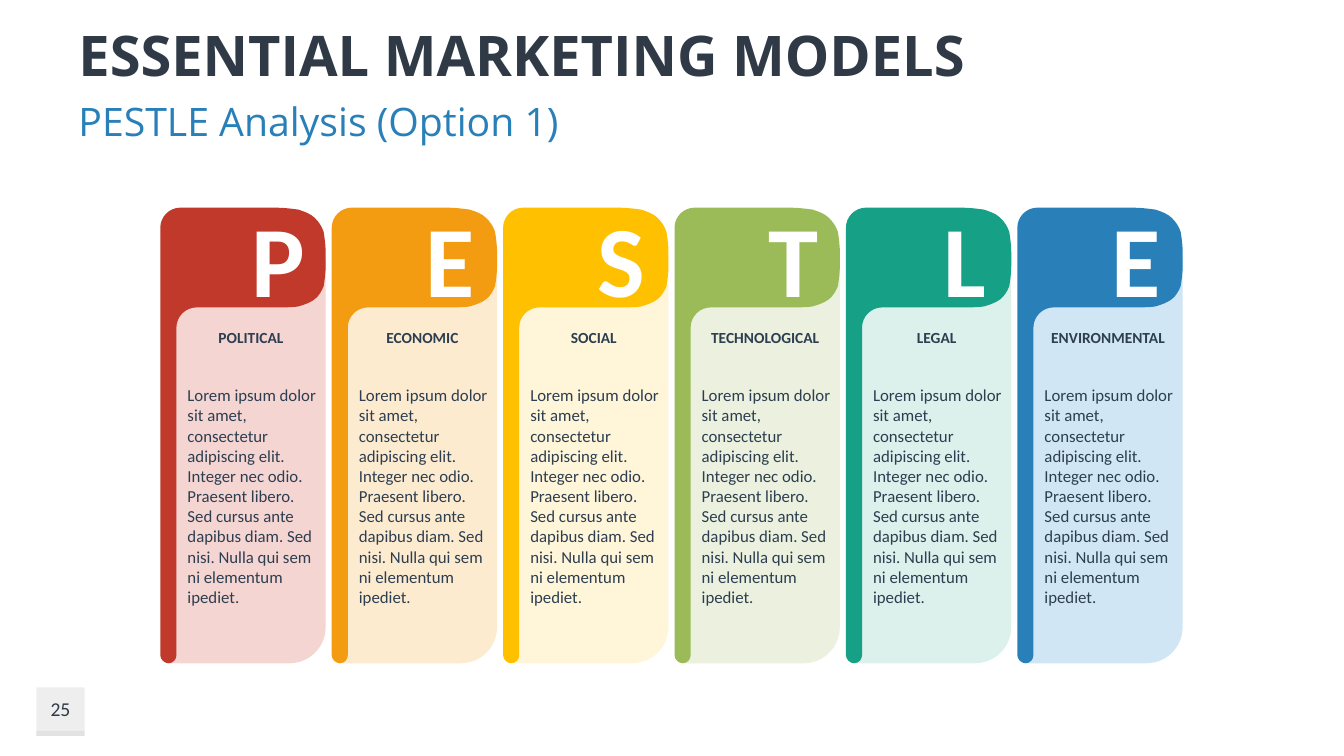
import lxml.etree
import pptx
import pptx.dml.color
import pptx.enum.shapes
import pptx.enum.text
import pptx.oxml.ns
import pptx.util

PX = 9144  # EMU per px, 100 px to the inch

ALIGN = pptx.enum.text.PP_ALIGN
ANCHOR = pptx.enum.text.MSO_ANCHOR
qn = pptx.oxml.ns.qn

# Text styles are font, size, bold, colour
THEME = {
    "title": ("Open Sans", 40, True, "2F3A46"),
    "subtitle": ("Open Sans", 28, False, "2980B9"),
    "number": ("Calibri", 14, False, "2F3A46"),
    "letter": ("Calibri", 72, True, "FFFFFF"),
    "label": ("Calibri", 11, True, "2C3E50"),
    "body": ("Calibri", 12, False, "2C3E50"),
    "tile": "BFBFBF",
}

# Factor, card colour, panel colour, panel opacity in percent
FACTORS = [
    ("POLITICAL", "C0392B", "F5D5D2", 100),
    ("ECONOMIC", "F39C12", "FDEBD0", 100),
    ("SOCIAL", "FFC000", "FFC000", 15),
    ("TECHNOLOGICAL", "9BBB59", "EBF1DE", 100),
    ("LEGAL", "16A085", "16A085", 15),
    ("ENVIRONMENTAL", "2980B9", "D1E6F5", 100),
]
BODY = (
    "Lorem ipsum dolor sit amet, consectetur adipiscing elit. Integer nec odio. "
    "Praesent libero. Sed cursus ante dapibus diam. Sed nisi. "
    "Nulla qui sem ni elementum ipediet."
)

COLUMN_LEFT, COLUMN_PITCH = 159, 170
CARD_TOP, PANEL_TOP, PANEL_INDENT = 206, 256, 7

# Pairs are line ends; sixes are two control points and a curve end
PANEL_OUTLINE = [
    (157, 0), (0, 0), (0, 402), (121, 402),
    (141, 402, 157, 386, 157, 366), (157, 0),
]
CARD_OUTLINE = [
    (16, 119), (16, 444),
    (16, 448, 13, 452, 8, 452), (4, 452, 0, 448, 0, 444),
    (0, 20), (0, 9, 9, 0, 20, 0), (112, 0),
    (122, 0, 130, 1, 137, 2), (143, 4, 149, 6, 153, 10),
    (157, 14, 160, 18, 162, 24), (163, 30, 164, 37, 164, 45),
    (164, 57),
    (164, 65, 163, 72, 162, 78), (160, 83, 157, 88, 153, 91),
    (149, 94, 144, 96, 137, 98), (131, 99, 122, 99, 112, 99),
    (36, 99), (25, 99, 16, 108, 16, 119),
]


def add_outline(left, top, outline):
    """Draw a closed freeform, turning the six-number segments into curves."""
    ends = [segment[-2:] for segment in outline]
    builder = slide.shapes.build_freeform(*ends[0], scale=PX)
    builder.add_line_segments(ends[1:], close=True)
    shape = builder.convert_to_shape(left * PX, top * PX)
    lines = list(shape.element.spPr.iter(qn("a:lnTo")))
    for line, segment in zip(lines, outline[1:]):
        if len(segment) == 6:
            line.tag = qn("a:cubicBezTo")
            for place in range(2):
                x, y = segment[2 * place:2 * place + 2]
                control = lxml.etree.SubElement(line, qn("a:pt"), x=str(x), y=str(y))
                line.insert(place, control)
    return shape


def write_text(shape, text, style, align=ALIGN.LEFT, anchor=ANCHOR.TOP,
               margins=(10, 5, 10, 5)):
    frame = shape.text_frame
    frame.word_wrap = True
    frame.vertical_anchor = anchor
    (frame.margin_left, frame.margin_top,
     frame.margin_right, frame.margin_bottom) = [margin * PX for margin in margins]
    para = frame.paragraphs[0]
    para.text = text
    para.alignment = align
    font_name, size, bold, colour = THEME[style]
    para.font.name = font_name
    para.font.size = pptx.util.Pt(size)
    para.font.bold = bold
    para.font.color.rgb = pptx.dml.color.RGBColor.from_string(colour)


deck = pptx.Presentation()
deck.slide_width = 1333 * PX
deck.slide_height = 750 * PX
slide = deck.slides.add_slide(deck.slide_layouts[6])
filled = []  # shape, colour, opacity in percent

# Page number tile
for top, height in [(682, 48), (725, 5)]:
    tile = slide.shapes.add_shape(
        pptx.enum.shapes.MSO_SHAPE.RECTANGLE, 36 * PX, top * PX, 48 * PX, height * PX)
    filled.append((tile, THEME["tile"], 25))
number_box = slide.shapes.add_textbox(36 * PX, 682 * PX, 48 * PX, 43 * PX)
write_text(number_box, "25", "number", ALIGN.CENTER, ANCHOR.MIDDLE)

# Headings
title_box = slide.shapes.add_textbox(68 * PX, 15 * PX, 1072 * PX, 77 * PX)
write_text(title_box, "ESSENTIAL MARKETING MODELS", "title", anchor=ANCHOR.MIDDLE)
subtitle_box = slide.shapes.add_textbox(68 * PX, 92 * PX, 1072 * PX, 57 * PX)
write_text(subtitle_box, "PESTLE Analysis (Option 1)", "subtitle")

# One column per factor
for index, (factor, card_colour, panel_colour, opacity) in enumerate(FACTORS):
    left = COLUMN_LEFT + index * COLUMN_PITCH

    panel = add_outline(left + PANEL_INDENT, PANEL_TOP, PANEL_OUTLINE)
    write_text(panel, BODY, "body", margins=(20, 126, 4, 4))
    filled.append((panel, panel_colour, opacity))

    card = add_outline(left, CARD_TOP, CARD_OUTLINE)
    filled.append((card, card_colour, 100))

    letter_box = slide.shapes.add_textbox((left + 73) * PX, 190 * PX, 89 * PX, 131 * PX)
    write_text(letter_box, factor[0], "letter", ALIGN.CENTER)
    label_box = slide.shapes.add_textbox((left + 19) * PX, 321 * PX, 142 * PX, 29 * PX)
    write_text(label_box, factor, "label", ALIGN.CENTER)

for shape, colour, opacity in filled:
    shape.shadow.inherit = False
    shape.line.fill.background()
    shape.fill.solid()
    shape.fill.fore_color.rgb = pptx.dml.color.RGBColor.from_string(colour)
    if opacity < 100:
        fill_colour = shape.element.spPr.find(".//" + qn("a:srgbClr"))
        lxml.etree.SubElement(fill_colour, qn("a:alpha"), val=str(opacity * 1000))

deck.save("out.pptx")
